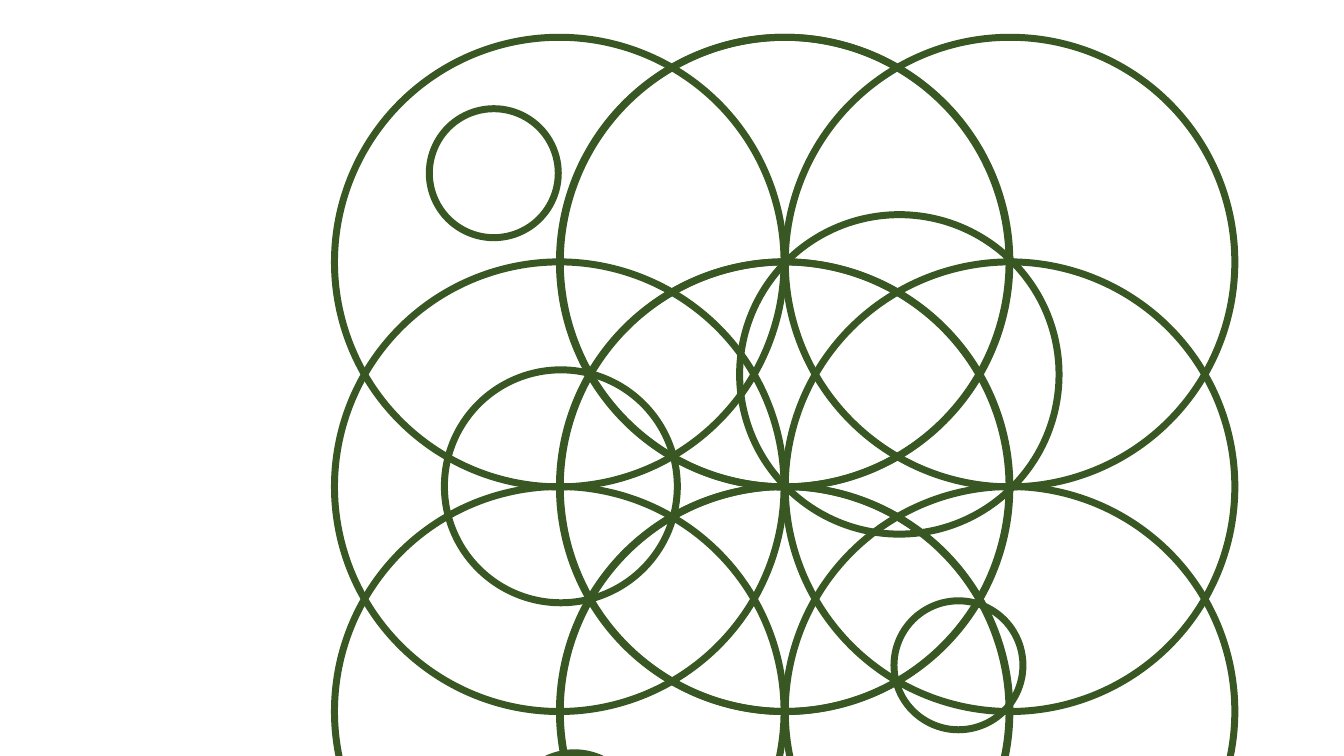
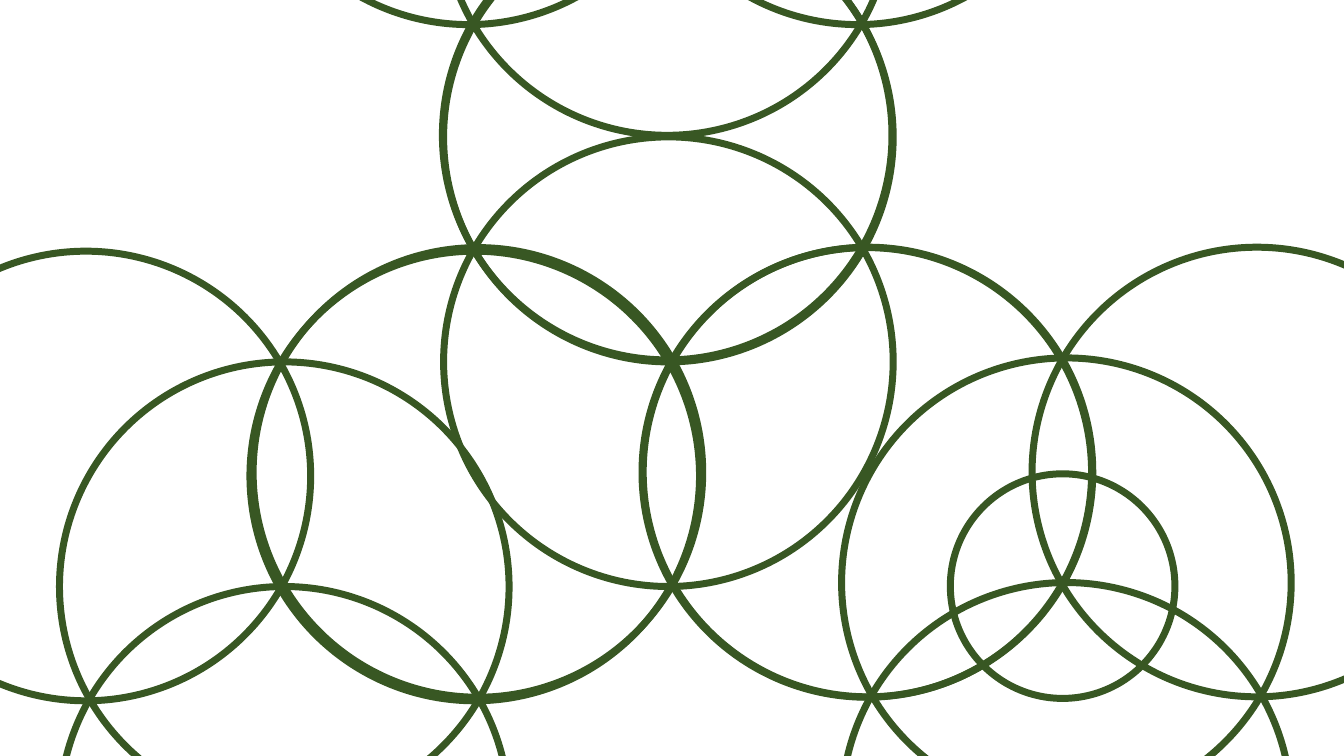
from dataclasses import dataclass
from itertools import product

from pptx import Presentation
from pptx.dml.color import RGBColor
from pptx.enum import shapes
from pptx.util import Cm, Pt


@dataclass(frozen=True)
class Theme:
    green: RGBColor = RGBColor(0x38, 0x57, 0x23)
    stroke: Pt = Pt(5)


THEME = Theme()

# All lengths are in centimetres.
DIAMETER = 11.33
RADIUS = 5.66

# Overlapping circles: two pairs of columns, one radius apart, in three rows
GRID_TOP = 0.94
COLUMN_PAIRS = [(8.43, 14.1), (14.12, 19.79)]
ROWS = 3

# Smaller circles: left, top, diameter
GRID_ACCENTS = [
    (18.64, 5.41, 8.05),
    (22.53, 15.14, 3.25),
    (11.2, 9.32, 5.87),
    (10.82, 2.74, 3.25),
    (12.85, 18.97, 3.25),
]
BRANCH_ACCENTS = [(23.95, 11.94, RADIUS)]

# Branch: foot, stem and two arms, as offsets from the foot
BRANCH = [(0, 0), (0, -RADIUS), (-5, -8.45), (4.8, -8.45)]

# Foot left, foot top, direction (1 upright, -1 turned by half)
BRANCH_FEET = [
    (11.15, -2.26, 1),
    (21.21, 14.68, 1),
    (1.5, 14.78, 1),
    (11.18, -2.21, -1),
]


def add_ring(parent, left, top, diameter=DIAMETER):
    ring = parent.shapes.add_shape(
        shapes.MSO_SHAPE.OVAL, Cm(left), Cm(top), Cm(diameter), Cm(diameter))
    ring.shadow.inherit = False
    ring.fill.background()
    ring.line.color.rgb = THEME.green
    ring.line.width = THEME.stroke


def add_rings(slide, rings):
    """Draw the rings together as one group."""
    group = slide.shapes.add_group_shape()
    for ring in rings:
        add_ring(group, *ring)


def add_blank_slide(deck):
    return deck.slides.add_slide(deck.slide_layouts[6])


def build_grid(deck):
    slide = add_blank_slide(deck)
    row_tops = [GRID_TOP + row * RADIUS for row in range(ROWS)]
    for columns in COLUMN_PAIRS:
        add_rings(slide, product(columns, row_tops))
    add_rings(slide, GRID_ACCENTS)


def build_branches(deck):
    slide = add_blank_slide(deck)
    for left, top, turn in BRANCH_FEET:
        add_rings(slide, [(left + turn * dx, top + turn * dy) for dx, dy in BRANCH])
    for accent in BRANCH_ACCENTS:
        add_ring(slide, *accent)


def main():
    deck = Presentation()
    deck.slide_width, deck.slide_height = Cm(33.87), Cm(19.05)
    build_grid(deck)
    build_branches(deck)
    deck.save("out.pptx")


if __name__ == "__main__":
    main()
